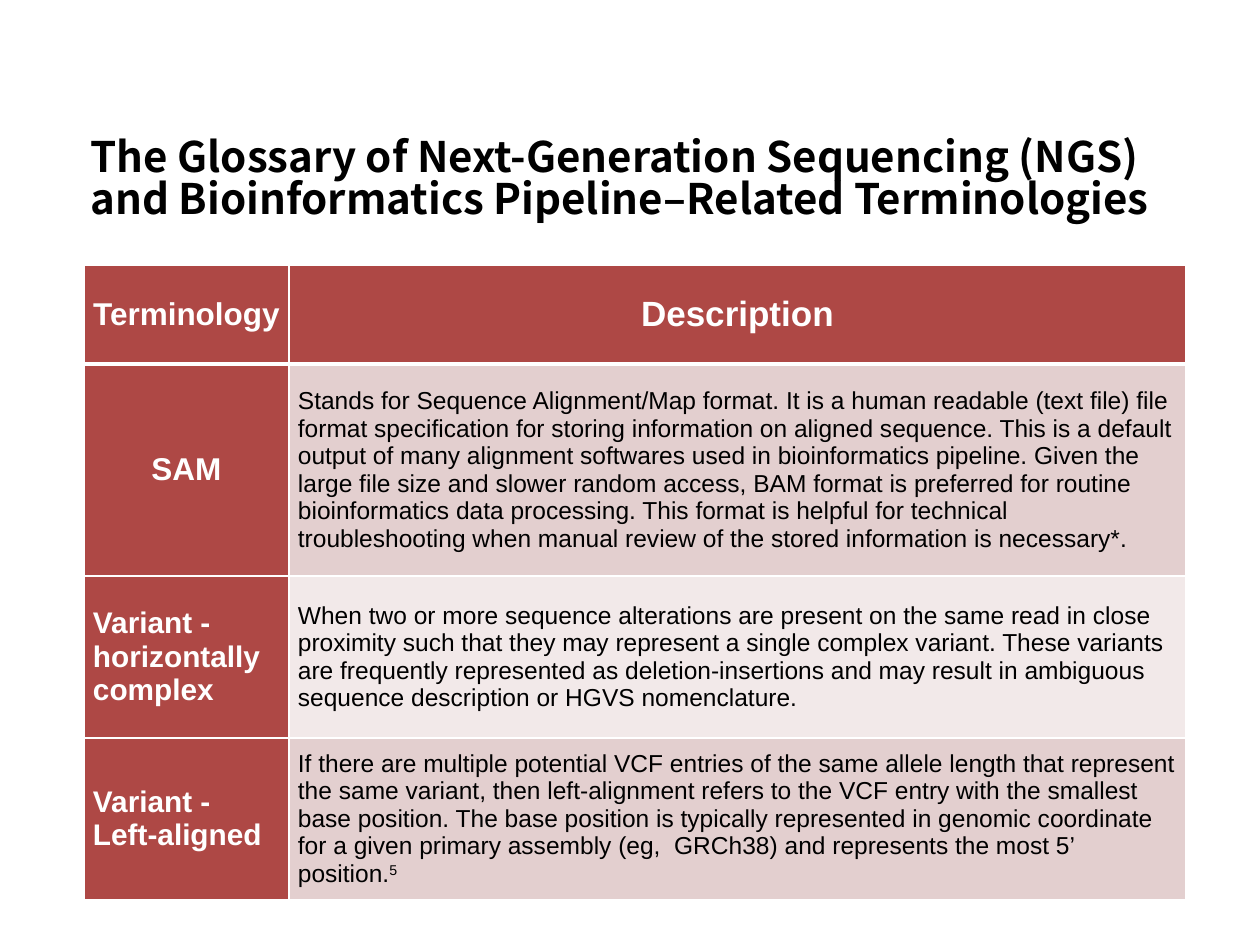
import pptx
import pptx.dml.color
import pptx.enum.text
import pptx.oxml
import pptx.oxml.ns
import pptx.util

TITLE = ("The Glossary of Next-Generation Sequencing (NGS) "
         "and Bioinformatics Pipeline–Related Terminologies")
HEADERS = ("Terminology", "Description")
ENTRIES = [
    {"term": "SAM", "size": 18, "align": "center", "note": "",
     "description": "Stands for Sequence Alignment/Map format. It is a human readable "
                    "(text file) file format specification for storing information on "
                    "aligned sequence. This is a default output of many alignment "
                    "softwares used in bioinformatics pipeline. Given the large file "
                    "size and slower random access, BAM format is preferred for routine "
                    "bioinformatics data processing. This format is helpful for "
                    "technical troubleshooting when manual review of the stored "
                    "information is necessary*."},
    {"term": "Variant - horizontally complex", "size": 17, "align": "left", "note": "",
     "description": "When two or more sequence alterations are present on the same read "
                    "in close proximity such that they may represent a single complex "
                    "variant. These variants are frequently represented as "
                    "deletion-insertions and may result in ambiguous sequence "
                    "description or HGVS nomenclature."},
    {"term": "Variant - Left-aligned", "size": 17, "align": "left", "note": "5",
     "description": "If there are multiple potential VCF entries of the same allele "
                    "length that represent the same variant, then left-alignment refers "
                    "to the VCF entry with the smallest base position. The base position "
                    "is typically represented in genomic coordinate for a given primary "
                    "assembly (eg,  GRCh38) and represents the most 5’ position."},
]
COLORS = {"black": "000000", "white": "FFFFFF", "red": "AE4845",
          "dark_band": "E3CFCF", "light_band": "F2E9E9"}
ALIGNMENTS = {"left": pptx.enum.text.PP_ALIGN.LEFT,
              "center": pptx.enum.text.PP_ALIGN.CENTER}
COLUMN_WIDTHS = (205, 897)
ROW_HEIGHTS = (99, 212, 162, 162)
TABLE_LEFT, TABLE_TOP = 84, 265
HEADER_RULE, THIN_RULE = 3, 1


def px(length):
    return pptx.util.Emu(round(length * 914400 / 126))


def rgb(name):
    return pptx.dml.color.RGBColor.from_string(COLORS[name])


def write_text(frame, text, *, size, font="Arial", color="black", bold=False,
               align="left", spacing=None, superscript=""):
    frame.word_wrap = True
    paragraph = frame.paragraphs[0]
    paragraph.alignment = ALIGNMENTS[align]
    if spacing:
        paragraph.line_spacing = spacing
    for content, baseline in ((text, 0), (superscript, 30000)):
        if not content:
            continue
        run = paragraph.add_run()
        run.text = content
        run.font.size = pptx.util.Pt(size)
        run.font.name = font
        run.font.bold = bold
        run.font.color.rgb = rgb(color)
        properties = run.font._element
        east_asian = pptx.oxml.parse_xml(
            f'<a:ea {pptx.oxml.ns.nsdecls("a")} typeface="{font}"/>')
        properties.find(pptx.oxml.ns.qn("a:latin")).addnext(east_asian)
        if baseline:
            properties.set("baseline", str(baseline))


def style_cell(cell, fill, top, bottom):
    cell.vertical_anchor = pptx.enum.text.MSO_ANCHOR.MIDDLE
    cell.margin_left = cell.margin_right = px(9)
    cell.margin_top = cell.margin_bottom = px(2)
    cell.fill.solid()
    cell.fill.fore_color.rgb = rgb(fill)
    properties = cell._tc.get_or_add_tcPr()
    widths = {"L": THIN_RULE, "R": THIN_RULE, "T": top, "B": bottom}
    for position, (side, width) in enumerate(widths.items()):
        properties.insert(position, pptx.oxml.parse_xml(
            f'<a:ln{side} {pptx.oxml.ns.nsdecls("a")} w="{pptx.util.Pt(width)}">'
            f'<a:solidFill><a:srgbClr val="{COLORS["white"]}"/></a:solidFill>'
            f'</a:ln{side}>'))


def add_glossary(slide):
    table = slide.shapes.add_table(
        len(ROW_HEIGHTS), len(COLUMN_WIDTHS), px(TABLE_LEFT), px(TABLE_TOP),
        px(sum(COLUMN_WIDTHS)), px(sum(ROW_HEIGHTS))).table
    table.horz_banding = False
    for column, width in zip(table.columns, COLUMN_WIDTHS):
        column.width = px(width)
    for row, height in zip(table.rows, ROW_HEIGHTS):
        row.height = px(height)

    for column, (header, size) in enumerate(zip(HEADERS, (18, 20))):
        cell = table.cell(0, column)
        style_cell(cell, "red", THIN_RULE, HEADER_RULE)
        write_text(cell.text_frame, header, size=size, color="white", bold=True,
                   align="center")

    for row, entry in enumerate(ENTRIES, start=1):
        top = HEADER_RULE if row == 1 else THIN_RULE
        band = "dark_band" if row % 2 else "light_band"
        term, description = table.cell(row, 0), table.cell(row, 1)
        style_cell(term, "red", top, THIN_RULE)
        style_cell(description, band, top, THIN_RULE)
        write_text(term.text_frame, entry["term"], size=entry["size"], color="white",
                   bold=True, align=entry["align"])
        write_text(description.text_frame, entry["description"], size=14,
                   superscript=entry["note"])


def main():
    presentation = pptx.Presentation()
    presentation.slide_width, presentation.slide_height = px(1260), px(945)
    slide = presentation.slides.add_slide(presentation.slide_layouts[5])
    title = slide.shapes.title
    title.left, title.top, title.width, title.height = map(px, (78, 98, 1137, 166))
    title.text_frame.vertical_anchor = pptx.enum.text.MSO_ANCHOR.MIDDLE
    write_text(title.text_frame, TITLE, size=24, font="Noto Sans CJK SC", bold=True,
               spacing=0.84)
    add_glossary(slide)
    presentation.save("out.pptx")


if __name__ == "__main__":
    main()
